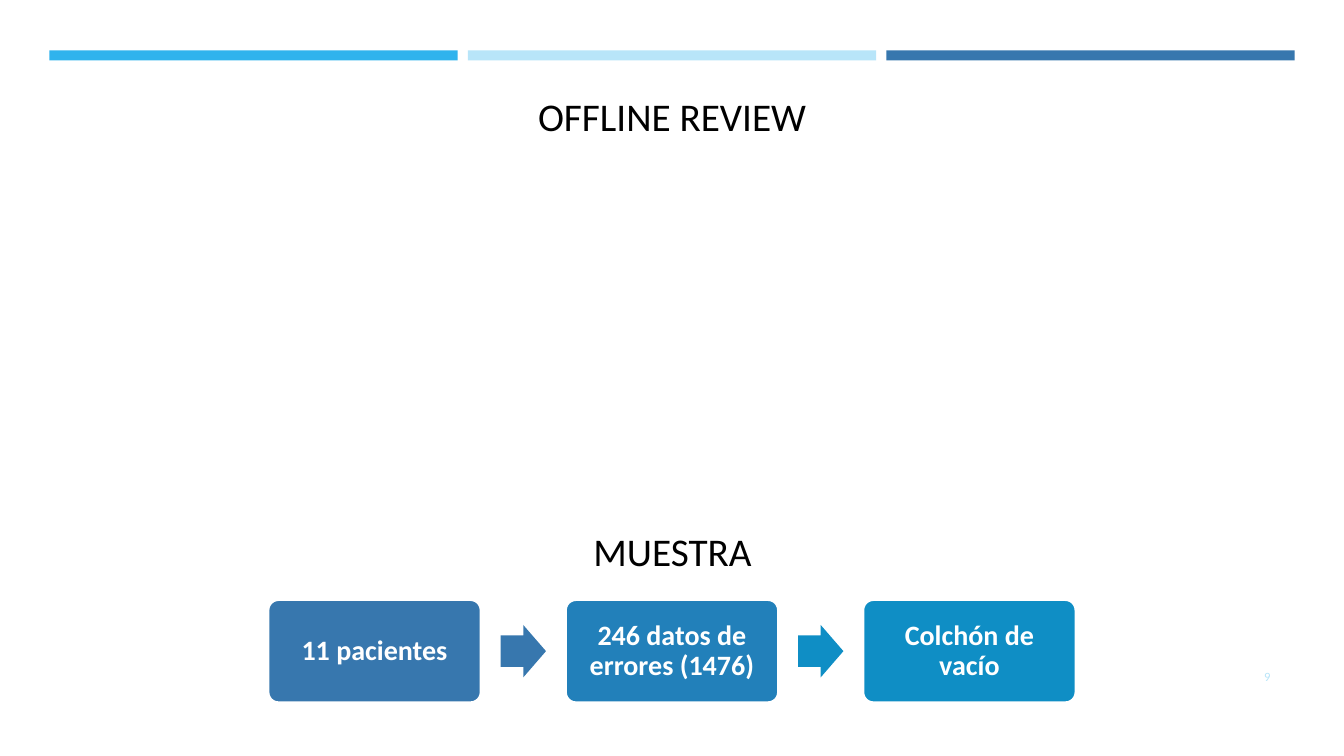
from pptx import Presentation
from pptx.dml.color import RGBColor
from pptx.enum.shapes import MSO_SHAPE
from pptx.enum.text import MSO_ANCHOR, PP_ALIGN
from pptx.util import Inches, Pt

RECTANGLE = MSO_SHAPE.RECTANGLE
ROUNDED = MSO_SHAPE.ROUNDED_RECTANGLE
ARROW = MSO_SHAPE.RIGHT_ARROW
TOP, MIDDLE = MSO_ANCHOR.TOP, MSO_ANCHOR.MIDDLE
CENTER, RIGHT = PP_ALIGN.CENTER, PP_ALIGN.RIGHT

BLACK = RGBColor(0x00, 0x00, 0x00)
WHITE = RGBColor(0xFF, 0xFF, 0xFF)
SKY = RGBColor(0x30, 0xB3, 0xED)
PALE = RGBColor(0xB8, 0xE5, 0xF9)
STEEL = RGBColor(0x37, 0x77, 0xAE)
BLUE = RGBColor(0x22, 0x80, 0xBA)
CYAN = RGBColor(0x0F, 0x8E, 0xC5)
FONT = "Calibri"

SAMPLE_STEPS = [
    ("11 pacientes", STEEL),
    ("246 datos de errores (1476)", BLUE),
    ("Colchón de vacío", CYAN),
]
ARROW_COLORS = [STEEL, CYAN]


def add_block(slide, preset, left, top, width, height, color):
    """Add a flat filled shape without outline; lengths in inches."""
    shape = slide.shapes.add_shape(
        preset, Inches(left), Inches(top), Inches(width), Inches(height))
    shape.shadow.inherit = False
    shape.fill.solid()
    shape.fill.fore_color.rgb = color
    shape.line.fill.background()
    return shape


def write_text(shape, text, size, color, align=CENTER, anchor=TOP, bold=False):
    frame = shape.text_frame
    frame.word_wrap = True
    frame.vertical_anchor = anchor
    paragraph = frame.paragraphs[0]
    paragraph.text = text
    paragraph.alignment = align
    font = paragraph.font
    font.name, font.size, font.bold = FONT, Pt(size), bold
    font.color.rgb = color
    return paragraph


def add_label(slide, left, top, width, height, text, size, color, **layout):
    box = slide.shapes.add_textbox(
        Inches(left), Inches(top), Inches(width), Inches(height))
    write_text(box, text, size, color, **layout)


def add_top_bars(slide, left, top, width, height, gap=0.1):
    colors = [SKY, PALE, STEEL]
    bar_width = (width - gap * (len(colors) - 1)) / len(colors)
    for index, color in enumerate(colors):
        add_block(slide, RECTANGLE, left + index * (bar_width + gap), top,
                  bar_width, height, color)


def add_sample_flow(slide, left, top, width, height):
    """Boxes spread evenly over the width, with an arrow in each gap."""
    box_width, arrow_width, arrow_height = 2.11, 0.45, 0.52
    pitch = (width - box_width) / (len(SAMPLE_STEPS) - 1)
    gap = pitch - box_width

    # Step boxes
    for index, (text, color) in enumerate(SAMPLE_STEPS):
        box = add_block(slide, ROUNDED, left + index * pitch, top,
                        box_width, height, color)
        box.adjustments[0] = 0.1
        box.line.color.rgb = WHITE
        box.line.width = Pt(1.75)
        frame = box.text_frame
        frame.margin_left = frame.margin_right = Inches(0.11)
        frame.margin_top = frame.margin_bottom = Inches(0.11)
        paragraph = write_text(box, text, 20, WHITE, anchor=MIDDLE, bold=True)
        paragraph.line_spacing = 0.9

    # Arrows between the boxes
    for index, color in enumerate(ARROW_COLORS):
        arrow_left = left + index * pitch + box_width + (gap - arrow_width) / 2
        arrow = add_block(slide, ARROW, arrow_left,
                          top + (height - arrow_height) / 2,
                          arrow_width, arrow_height, color)
        arrow.adjustments[0] = 0.6
        arrow.adjustments[1] = 0.5


def build_review_slide(presentation):
    slide = presentation.slides.add_slide(presentation.slide_layouts[6])
    add_top_bars(slide, 0.49, 0.5, 12.35, 0.1)
    add_label(slide, 4.86, 0.87, 3.61, 0.61, "OFFLINE REVIEW", 28, BLACK)
    add_label(slide, 5.56, 5.18, 2.22, 0.61, "MUESTRA", 28, BLACK)
    add_sample_flow(slide, 2.66, 5.95, 8.01, 1.02)
    # Slide number
    add_label(slide, 11.55, 6.51, 1.15, 0.4, "9", 9, PALE,
              align=RIGHT, anchor=MIDDLE)


def main():
    presentation = Presentation()
    presentation.slide_width = Inches(13.33)
    presentation.slide_height = Inches(7.5)
    build_review_slide(presentation)
    presentation.save("out.pptx")


if __name__ == "__main__":
    main()
